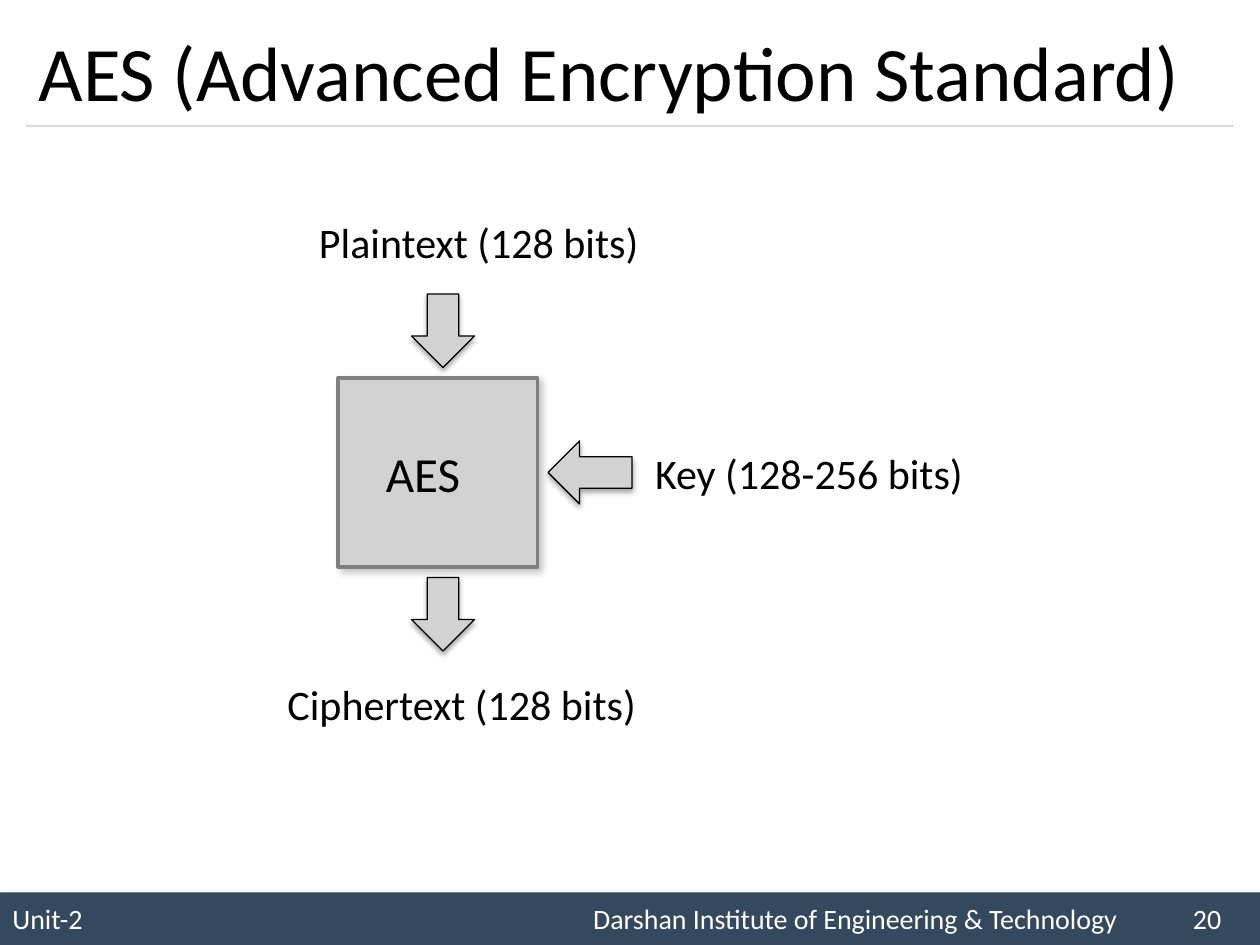
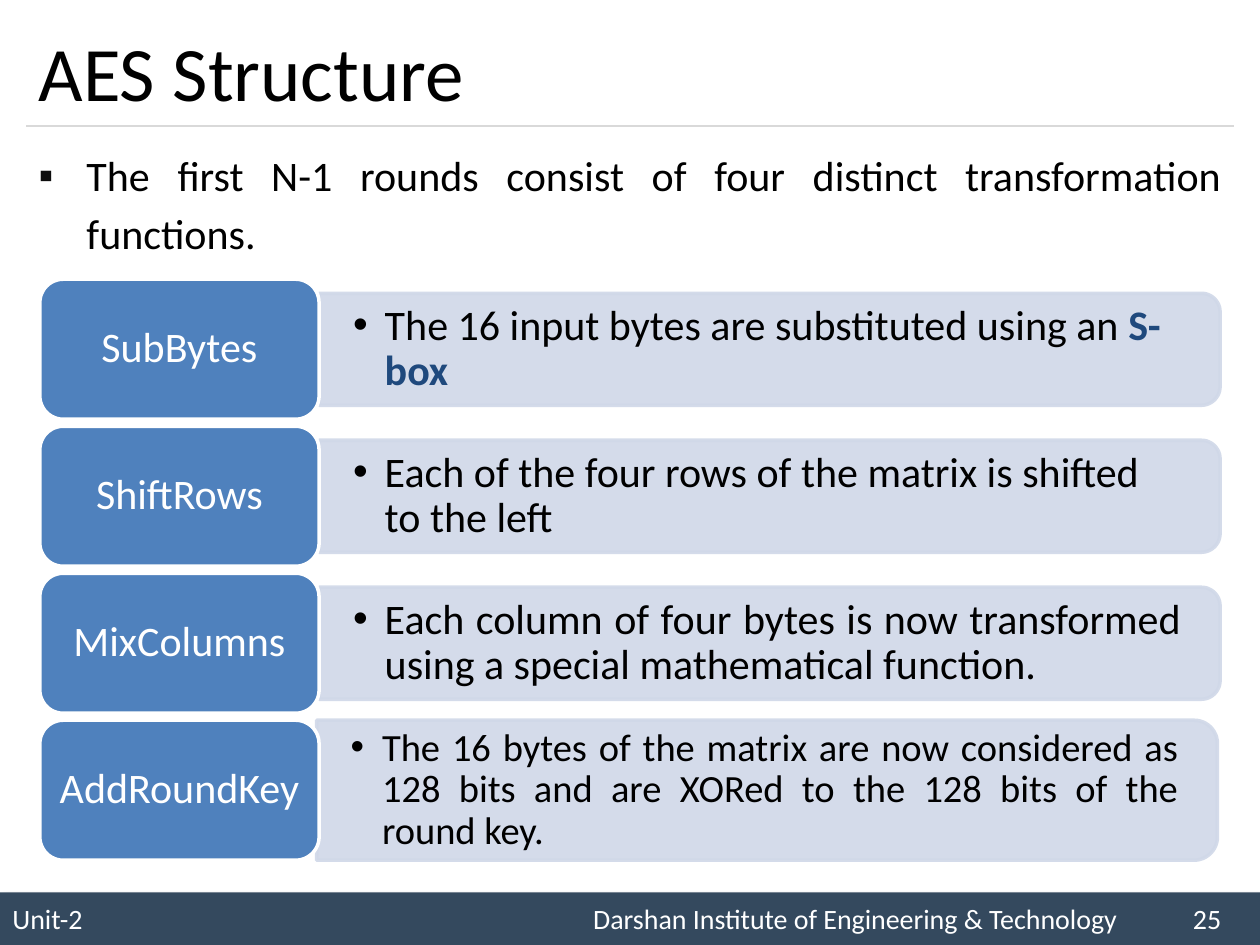
from dataclasses import dataclass
from math import cos, pi, sin

from lxml.etree import SubElement
from pptx import Presentation
from pptx.dml.color import RGBColor
from pptx.enum.shapes import MSO_CONNECTOR, MSO_SHAPE as Preset
from pptx.enum.text import MSO_ANCHOR as Anchor, PP_ALIGN as Align
from pptx.oxml.ns import qn
from pptx.util import Inches, Pt

FONT = "Calibri"
BLACK, WHITE = "000000", "FFFFFF"
FOOTER_FILL, RULE = "34495E", "D9D9D9"
BLOCK_FILL, BLOCK_EDGE = "D3D2D2", "7F7F7F"
LABEL_FILL, PANEL_FILL, TERM = "4F81BD", "D0D8E8", "1F497D"

# The slide is a grid of 120 columns and 90 rows.
CELL = Inches(1 / 12)
COLUMNS, ROWS = 120, 90

# colour, opacity %, blur pt, distance pt, direction in degrees
FOOTER_SHADOW = (BLACK, 40, 4, 3, 45)
BLOCK_SHADOW = ("808080", 43, 4, 3, 45)
ARROW_SHADOW = (BLACK, 35, 3.1, 1.8, 90)

TRANSFORMATIONS = [
    ("SubBytes", ["The 16 input bytes are substituted using an ", "S-box"], Align.LEFT),
    ("ShiftRows", ["Each of the four rows of the matrix is shifted to the left"], Align.LEFT),
    ("MixColumns", ["Each column of four bytes is now transformed using a special "
                    "mathematical function."], Align.JUSTIFY),
    ("AddRoundKey", ["The 16 bytes of the matrix are now considered as 128 bits and are "
                     "XORed to the 128 bits of the round key."], Align.JUSTIFY),
]


@dataclass
class Box:
    """A region measured in grid cells."""
    x: float
    y: float
    w: float
    h: float

    def inner(self, x, y, w, h):
        return Box(self.x + x, self.y + y, w, h)

    def emu(self):
        return [round(v * CELL) for v in (self.x, self.y, self.w, self.h)]


def rgb(colour):
    return RGBColor.from_string(colour)


def cast_shadow(shape, colour, opacity, blur, distance, degrees):
    effects = shape._element.spPr.find(qn("a:effectLst"))
    outer = SubElement(effects, qn("a:outerShdw"), blurRad=str(Pt(blur)),
                       dist=str(Pt(distance)), dir=str(degrees * 60000),
                       algn="tl", rotWithShape="0")
    tint = SubElement(outer, qn("a:srgbClr"), val=colour)
    SubElement(tint, qn("a:alpha"), val=str(opacity * 1000))


def paint(shape, fill, edge=None, width=2.0, shadow=None):
    shape.shadow.inherit = False
    shape.fill.solid()
    shape.fill.fore_color.rgb = rgb(fill)
    if edge:
        shape.line.color.rgb = rgb(edge)
        shape.line.width = Pt(width)
    else:
        shape.line.fill.background()
    if shadow:
        cast_shadow(shape, *shadow)
    return shape


def write(shape, runs, size, colour=BLACK, align=Align.LEFT, anchor=Anchor.MIDDLE,
          insets=(0.1, 0.05, 0.1, 0.05), wrap=True, spacing=None, bullet=None, tabs=()):
    """Fill a shape with one paragraph; bullet is (sign, colour, indent in inches)."""
    frame = shape.text_frame
    frame.word_wrap, frame.vertical_anchor = wrap, anchor
    (frame.margin_left, frame.margin_top,
     frame.margin_right, frame.margin_bottom) = map(Inches, insets)
    paragraph = frame.paragraphs[0]
    paragraph.alignment = align
    properties = paragraph._p.get_or_add_pPr()
    if bullet:
        sign, sign_colour, indent = bullet
        properties.set("marL", str(Inches(indent)))
        properties.set("indent", str(-Inches(indent)))
        tint = SubElement(properties, qn("a:buClr"))
        SubElement(tint, qn("a:srgbClr"), val=sign_colour)
        SubElement(properties, qn("a:buFont"), typeface="Arial")
        SubElement(properties, qn("a:buChar"), char=sign)
    if tabs:
        stops = SubElement(properties, qn("a:tabLst"))
        for stop in tabs:
            SubElement(stops, qn("a:tab"), pos=str(Inches(stop)), algn="l")
    if spacing:
        paragraph.line_spacing = spacing
    font = paragraph.font
    font.name, font.size, font.color.rgb = FONT, Pt(size), rgb(colour)
    for text in runs:
        paragraph.add_run().text = text
    return paragraph


def add_label(slide, box, text, size, **style):
    write(slide.shapes.add_textbox(*box.emu()), [text], size, **style)


def add_frame(slide, page, title, number):
    """Title, the rule under it and the footer band."""
    footer = slide.shapes.add_shape(Preset.RECTANGLE, *page.inner(0, 85, page.w, 5).emu())
    paint(footer, FOOTER_FILL, shadow=FOOTER_SHADOW)
    write(footer, [f"Unit-2\tDarshan Institute of Engineering & Technology\t{number}"],
          16, WHITE, tabs=(4.61, 9.37))

    heading = page.inner(2.5, 1.5, page.w - 5, 10.5)
    left, top, width, height = heading.emu()
    rule = slide.shapes.add_connector(MSO_CONNECTOR.STRAIGHT, left, top + height,
                                      left + width, top + height)
    rule.line.color.rgb, rule.line.width = rgb(RULE), Pt(0.75)
    SubElement(rule._element.spPr, qn("a:effectLst"))
    add_label(slide, heading, title, 44)


def add_cipher_diagram(slide, box):
    block = slide.shapes.add_shape(Preset.RECTANGLE, *box.inner(6, 18, 19, 18).emu())
    paint(block, BLOCK_FILL, BLOCK_EDGE, shadow=BLOCK_SHADOW)
    write(block, ["AES"], 28, insets=(0.38, 0.05, 0.1, 0.05))

    for text, x, y, width in (("Plaintext (128 bits)", 3, 2, 33.4),
                              ("Ciphertext (128 bits)", 0, 46, 37.2),
                              ("Key (128-256 bits)", 35, 24, 32.5)):
        add_label(slide, box.inner(x, y, width, 6), text, 24, anchor=Anchor.TOP, wrap=False)

    for preset, *place in ((Preset.DOWN_ARROW, 13, 10, 6, 7),
                           (Preset.DOWN_ARROW, 13, 37, 6, 7),
                           (Preset.LEFT_ARROW, 26, 24, 8, 6)):
        arrow = slide.shapes.add_shape(preset, *box.inner(*place).emu())
        paint(arrow, BLOCK_FILL, BLACK, 0.75, ARROW_SHADOW)


def add_panel(slide, box):
    """A pale panel whose two right corners are rounded."""
    left, top, width, height = box.emu()
    radius = height / 6
    right, bottom = left + width, top + height
    steps = [pi / 2 * i / 12 for i in range(13)]
    upper = [(right - radius + radius * sin(a), top + radius - radius * cos(a)) for a in steps]
    lower = [(x, top + bottom - y) for x, y in reversed(upper)]
    outline = slide.shapes.build_freeform(left, top)
    outline.add_line_segments(upper + lower + [(left, bottom)], close=True)
    panel = paint(outline.convert_to_shape(), PANEL_FILL, PANEL_FILL)
    for tint in panel._element.spPr.iter(qn("a:srgbClr")):
        SubElement(tint, qn("a:alpha"), val="90000")
    return panel


def add_transformation(slide, box, name, description, align, tall):
    """A name on the left and its description in a panel on the right."""
    name_width = 26.6
    panel_box = box.inner(name_width, box.h * 0.1, box.w - name_width, box.h * 0.8)
    if tall:
        panel_box = box.inner(name_width - 0.25, 0, box.w - name_width, box.h)
    paragraph = write(add_panel(slide, panel_box), description, 22 if tall else 24,
                      align=align, insets=(0.27, 0.18, 0.31, 0.18), spacing=0.9,
                      bullet=("•", BLACK, 0.25))
    for term in paragraph.runs[1:]:
        term.font.bold, term.font.color.rgb = True, rgb(TERM)

    label = slide.shapes.add_shape(Preset.ROUNDED_RECTANGLE,
                                   *box.inner(0, 0, name_width, box.h).emu())
    paint(label, LABEL_FILL, WHITE)
    write(label, [name], 24, WHITE, Align.CENTER, spacing=0.9)


def add_transformations(slide, box):
    pitch = box.h / len(TRANSFORMATIONS)
    for index, (name, description, align) in enumerate(TRANSFORMATIONS):
        row = box.inner(0, index * pitch, box.w, pitch / 1.05)
        tall = index == len(TRANSFORMATIONS) - 1
        add_transformation(slide, row, name, description, align, tall)


def build_cipher_slide(slide, page):
    add_frame(slide, page, "AES (Advanced Encryption Standard)", 20)
    add_cipher_diagram(slide, page.inner(26.2, 18, 67.5, 52))


def build_structure_slide(slide, page):
    add_frame(slide, page, "AES Structure", 25)
    add_label(slide, page.inner(2.5, 13, page.w - 5, 12.25),
              "The first N-1 rounds consist of four distinct transformation functions.",
              24, align=Align.JUSTIFY, anchor=Anchor.TOP, spacing=1.14,
              bullet=("▪", "0D0D0D", 0.38))
    add_transformations(slide, page.inner(3.8, 26.6, 112.4, 56))


def main():
    deck = Presentation()
    deck.slide_width, deck.slide_height = COLUMNS * CELL, ROWS * CELL
    page = Box(0, 0, COLUMNS, ROWS)
    for build in (build_cipher_slide, build_structure_slide):
        build(deck.slides.add_slide(deck.slide_layouts[6]), page)
    deck.save("out.pptx")


if __name__ == "__main__":
    main()
